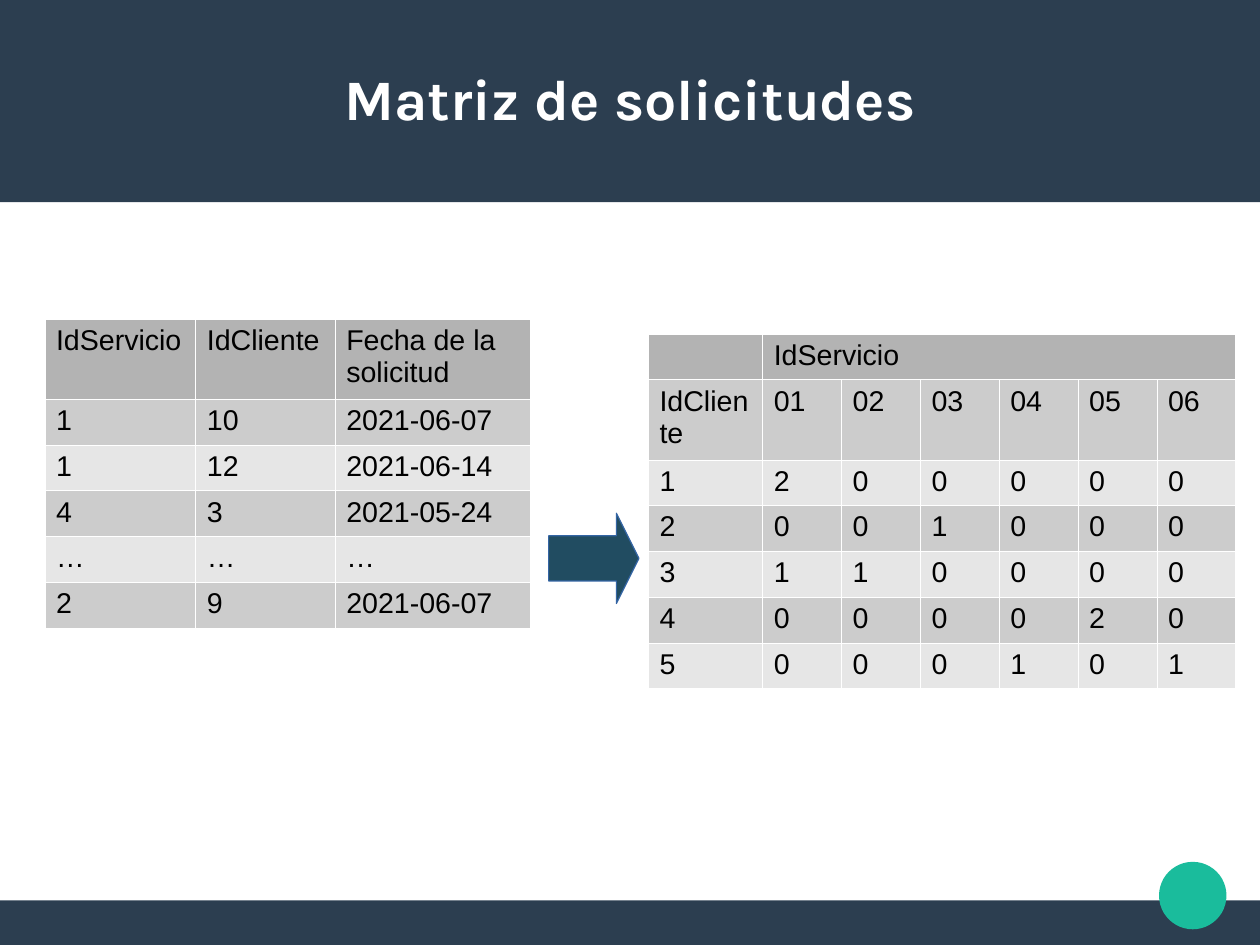
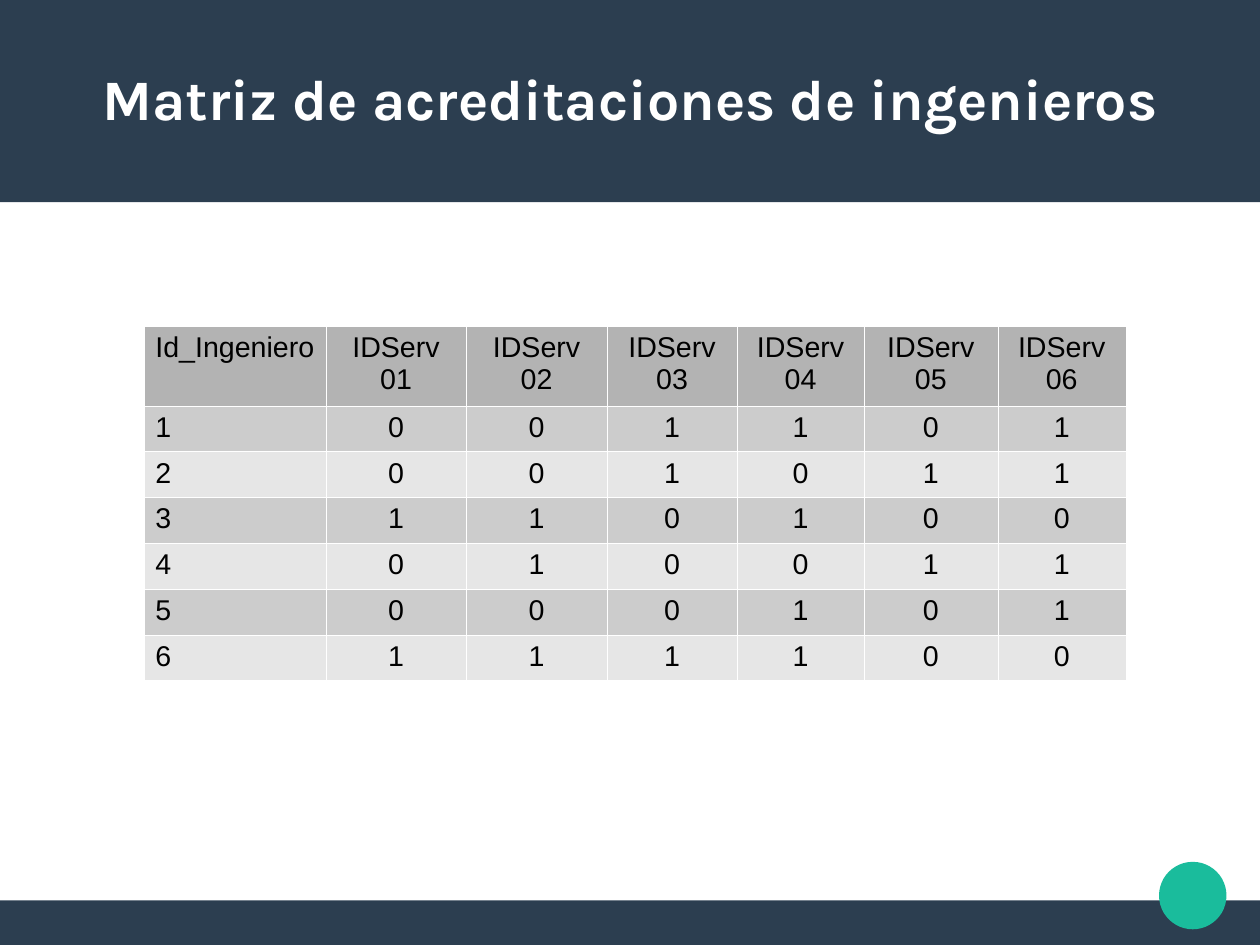
from lxml import etree
from pptx import Presentation
from pptx.dml.color import RGBColor
from pptx.enum.shapes import MSO_SHAPE
from pptx.enum.text import MSO_ANCHOR, PP_ALIGN
from pptx.oxml.ns import qn
from pptx.util import Cm, Inches, Pt

# Content
REQUESTS = [
    ("IdServicio", "IdCliente", "Fecha de la solicitud"),
    ("1", "10", "2021-06-07"),
    ("1", "12", "2021-06-14"),
    ("4", "3", "2021-05-24"),
    ("…", "…", "…"),
    ("2", "9", "2021-06-07"),
]
REQUEST_MATRIX = [
    ("", "IdServicio", "", "", "", "", ""),
    ("IdCliente", "01", "02", "03", "04", "05", "06"),
    ("1", 2, 0, 0, 0, 0, 0),
    ("2", 0, 0, 1, 0, 0, 0),
    ("3", 1, 1, 0, 0, 0, 0),
    ("4", 0, 0, 0, 0, 2, 0),
    ("5", 0, 0, 0, 1, 0, 1),
]
ACCREDITATIONS = [
    ("Id_Ingeniero", *(f"IDServ {number:02}" for number in range(1, 7))),
    ("1", 0, 0, 1, 1, 0, 1),
    ("2", 0, 0, 1, 0, 1, 1),
    ("3", 1, 1, 0, 1, 0, 0),
    ("4", 0, 1, 0, 0, 1, 1),
    ("5", 0, 0, 0, 1, 0, 1),
    ("6", 1, 1, 1, 1, 0, 0),
]

# Shared style, lengths in inches
SLIDE_WIDTH, SLIDE_HEIGHT = Cm(28), Cm(21)
WIDTH, HEIGHT = SLIDE_WIDTH.inches, SLIDE_HEIGHT.inches
MARGIN = 0.39
TITLE_BAND, FOOTER_BAND = 1.77, 0.39
DOT = 0.59
HEADER_ROW = 0.39
NAVY, GREEN, WHITE, BLACK = "2C3E50", "1ABC9C", "FFFFFF", "000000"
ARROW_FILL, ARROW_LINE = "214C61", "3465A4"
HEADER_FILL, BAND_FILLS = "B3B3B3", ("CCCCCC", "E6E6E6")


def color(value):
    return RGBColor.from_string(value)


def style_text(paragraph, font, size, value, bold=False, align=PP_ALIGN.LEFT):
    paragraph.alignment = align
    for run in paragraph.runs:
        run.font.name, run.font.size, run.font.bold = font, Pt(size), bold
        run.font.color.rgb = color(value)


def add_figure(slide, kind, left, top, width, height, fill, line=None):
    shape = slide.shapes.add_shape(kind, *map(Inches, (left, top, width, height)))
    shape.shadow.inherit = False
    shape.fill.solid()
    shape.fill.fore_color.rgb = color(fill)
    if line:
        shape.line.color.rgb = color(line)
        shape.line.width = Pt(0.75)
    else:
        shape.line.fill.background()
    return shape


def add_borders(cell):
    properties = cell._tc.get_or_add_tcPr()
    for position, side in enumerate(("lnL", "lnR", "lnT", "lnB")):
        border = etree.Element(qn(f"a:{side}"), w=str(Pt(0.06)))
        fill = etree.SubElement(border, qn("a:solidFill"))
        etree.SubElement(fill, qn("a:srgbClr"), val=WHITE)
        properties.insert(position, border)


def add_grid(slide, left, top, height, columns, rows, centered=False):
    frame = slide.shapes.add_table(
        len(rows), len(columns), *map(Inches, (left, top, sum(columns), height)))
    table = frame.table
    for column, width in zip(table.columns, columns):
        column.width = Inches(width)
    for index, values in enumerate(rows):
        # Body rows grow to fit their text
        table.rows[index].height = Inches(0 if index else HEADER_ROW)
        row_fill = BAND_FILLS[(index - 1) % 2] if index else HEADER_FILL
        for position, value in enumerate(values):
            cell = table.cell(index, position)
            cell.fill.solid()
            cell.fill.fore_color.rgb = color(row_fill)
            add_borders(cell)
            cell.text_frame.text = str(value)
            align = PP_ALIGN.CENTER if centered and position else PP_ALIGN.LEFT
            style_text(cell.text_frame.paragraphs[0], "Arial", 18, BLACK, align=align)
    frame.height = Inches(height)
    return table


def add_titled_slide(title):
    slide = presentation.slides.add_slide(presentation.slide_layouts[6])
    # Bands and corner dot
    add_figure(slide, MSO_SHAPE.RECTANGLE, 0, HEIGHT - FOOTER_BAND, WIDTH, FOOTER_BAND, NAVY)
    add_figure(slide, MSO_SHAPE.RECTANGLE, 0, 0, WIDTH, TITLE_BAND, NAVY)
    add_figure(slide, MSO_SHAPE.OVAL, 10.14, 7.54, DOT, DOT, GREEN)
    # Title
    box = slide.shapes.add_textbox(
        *map(Inches, (MARGIN, 0.33, WIDTH - 2 * MARGIN, 1.05)))
    text_frame = box.text_frame
    text_frame.word_wrap = True
    text_frame.vertical_anchor = MSO_ANCHOR.MIDDLE
    text_frame.margin_left = text_frame.margin_right = 0
    text_frame.margin_top = text_frame.margin_bottom = 0
    text_frame.text = title
    style_text(text_frame.paragraphs[0], "Karla", 36, WHITE, True, PP_ALIGN.CENTER)
    return slide


presentation = Presentation()
presentation.slide_width, presentation.slide_height = SLIDE_WIDTH, SLIDE_HEIGHT

# Requests turned into a client by service matrix
slide = add_titled_slide("Matriz de solicitudes")
add_grid(slide, MARGIN, 2.79, 4.25, (1.32, 1.22, 1.71), REQUESTS)
matrix = add_grid(slide, 5.67, 2.92, 2.97, (1, *[0.69] * 6), REQUEST_MATRIX)
matrix.cell(0, 1).merge(matrix.cell(0, 6))
arrow = add_figure(slide, MSO_SHAPE.RIGHT_ARROW, 4.8, 4.49, 0.79, 0.79,
                   ARROW_FILL, ARROW_LINE)
arrow.adjustments[0], arrow.adjustments[1] = 0.5, 0.25

# Engineer by service matrix
slide = add_titled_slide("Matriz de acreditaciones de ingenieros")
add_grid(slide, 1.26, 2.85, 3.24, (1.59, 1.23, 1.23, 1.14, 1.11, 1.17, 1.12),
         ACCREDITATIONS, centered=True)

presentation.save("out.pptx")
